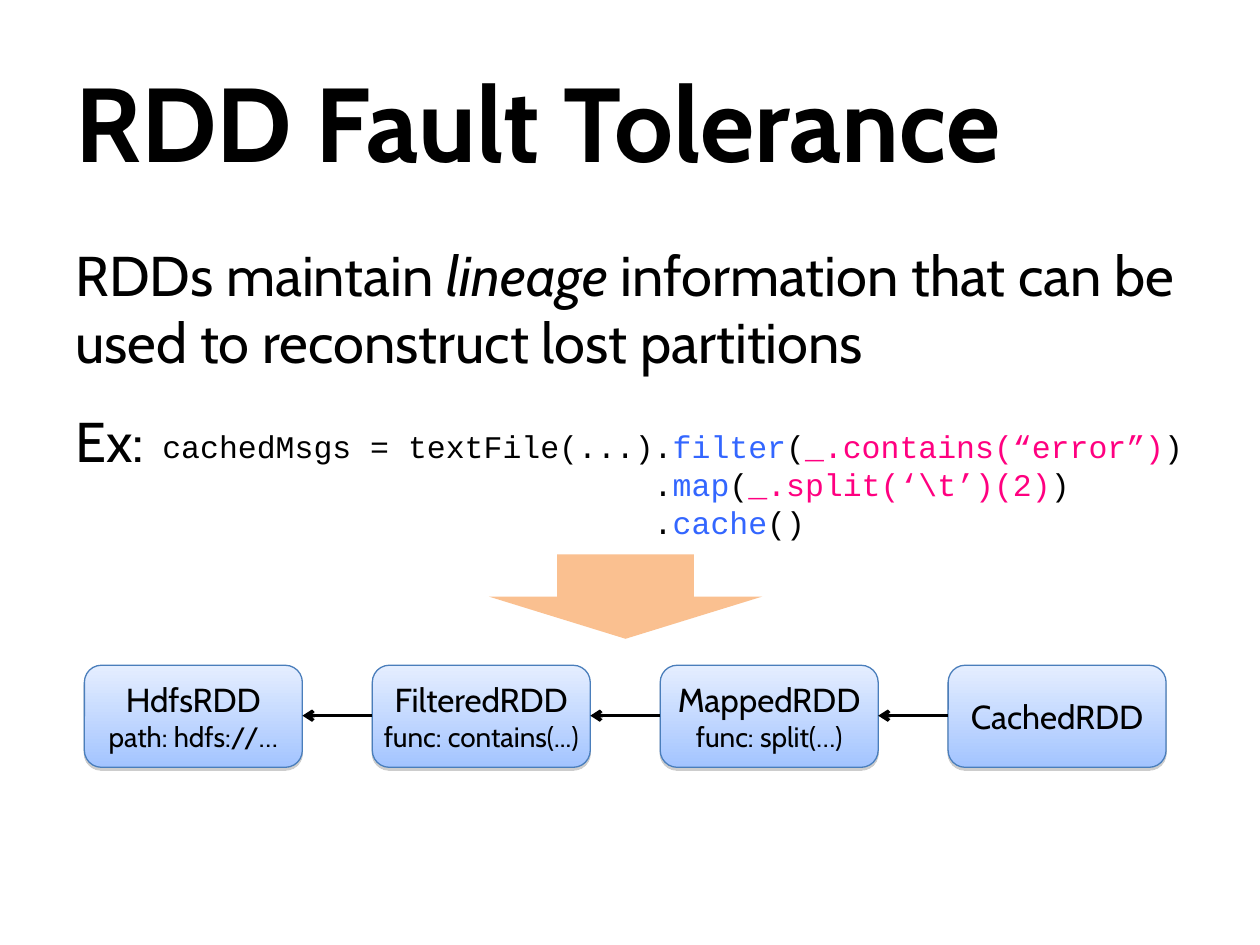
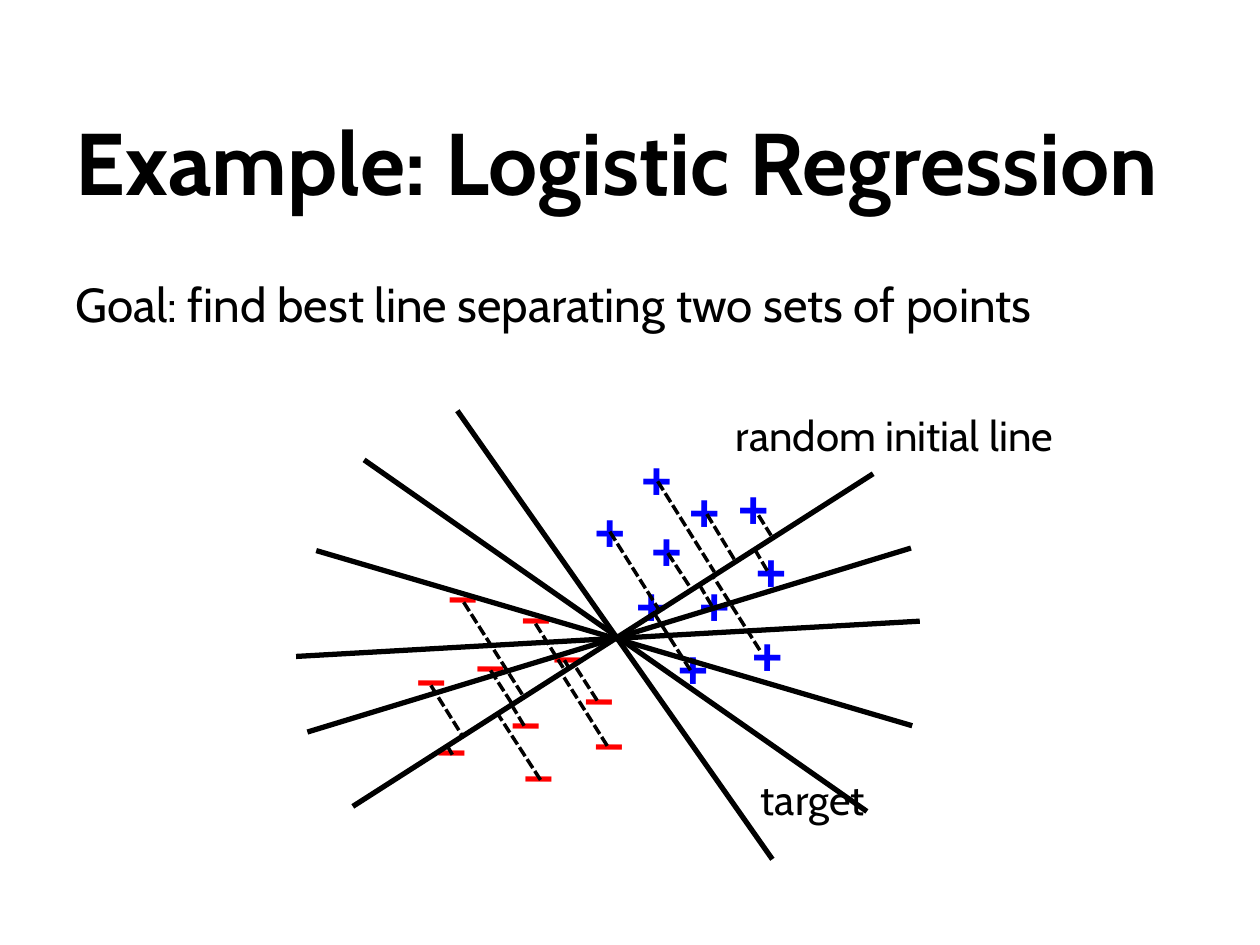
from lxml import etree
from pptx import Presentation
from pptx import util as u
from pptx.dml.color import RGBColor
from pptx.enum import dml, shapes, text
from pptx.oxml.ns import qn

BLACK, BLUE, RED = "000000", "0000FF", "FF0000"
CALL, CLOSURE = {"color": "3366FF"}, {"color": "FF0080"}
SANS, MARK, MONO = "Cabin", "Arial", "Courier New"


def rgb(value):
    """Turn a hex string into a colour."""
    return RGBColor.from_string(value)


class Deck:
    """Holds the shared style and the slide being built."""

    def __init__(self, prs):
        """Set the page size."""
        self.prs = prs
        prs.slide_width, prs.slide_height = u.Inches(10), u.Inches(7.5)

    def new_slide(self, title, top, size):
        """Start a blank slide with a bold title."""
        self.s = self.prs.slides.add_slide(self.prs.slide_layouts[6])
        self.label((0.5, top, 9, 1.25), [title], size, bold=True, middle=True)

    def set_text(self, tf, paragraphs, sizes, font=SANS, color=BLACK, bold=False,
                 align=text.PP_ALIGN.LEFT, gap=0):
        """Fill a text frame; a paragraph is a string or a list of (text, style) runs."""
        tf.word_wrap = True
        for i, (content, size) in enumerate(zip(paragraphs, sizes)):
            p = tf.add_paragraph() if i else tf.paragraphs[0]
            p.alignment = align
            if i:
                p.space_before = u.Pt(gap)
            p.font.name, p.font.size, p.font.bold = font, u.Pt(size), bold
            p.font.color.rgb = rgb(color)
            for words, style in [(content, {})] if isinstance(content, str) else content:
                r = p.add_run()
                r.text = words
                if "color" in style:
                    r.font.color.rgb = rgb(style["color"])
                if "italic" in style:
                    r.font.italic = style["italic"]

    def label(self, box, paragraphs, size, middle=False, rotation=0, **style):
        """Add a text box."""
        sp = self.s.shapes.add_textbox(*map(u.Inches, box))
        sp.rotation = rotation
        if middle:
            sp.text_frame.vertical_anchor = text.MSO_ANCHOR.MIDDLE
        self.set_text(sp.text_frame, paragraphs, [size] * len(paragraphs), **style)

    def marks(self, sign, color, places):
        """Scatter one sign over the given places."""
        for left, top in places:
            self.label((left, top, 0.44, 0.6), [sign], 30, rotation=0.3,
                       font=MARK, color=color, bold=True)

    def shape(self, kind, box):
        """Add a preset shape without the theme shadow."""
        sp = self.s.shapes.add_shape(kind, *map(u.Inches, box))
        sp.shadow.inherit = False
        return sp

    def down_arrow(self, box, color):
        """Add a plain block arrow."""
        sp = self.shape(shapes.MSO_SHAPE.DOWN_ARROW, box)
        sp.fill.solid()
        sp.fill.fore_color.rgb = rgb(color)
        sp.line.fill.background()

    def node(self, box, labels):
        """Add a shaded rounded box with a name and a detail line."""
        sp = self.shape(shapes.MSO_SHAPE.ROUNDED_RECTANGLE, box)
        sp.fill.gradient()
        sp.fill.gradient_angle = 270
        for stop, color in zip(sp.fill.gradient_stops, ("E5EEFF", "A3C4FF")):
            stop.color.rgb = rgb(color)
        sp.line.color.rgb = rgb("4A7EBB")
        sp.line.width = u.Pt(0.75)
        effects = sp._element.spPr.find(qn("a:effectLst"))
        shadow = etree.SubElement(effects, qn("a:outerShdw"), blurRad="0",
                                  dist=str(int(u.Pt(1.6))), dir="5400000", rotWithShape="0")
        shade = etree.SubElement(shadow, qn("a:srgbClr"), val="808080")
        etree.SubElement(shade, qn("a:alpha"), val="38000")
        tf = sp.text_frame
        tf.margin_left = tf.margin_right = 0
        tf.vertical_anchor = text.MSO_ANCHOR.MIDDLE
        self.set_text(tf, labels, (19, 16), align=text.PP_ALIGN.CENTER)

    def line(self, ends, width, dashed=False, arrow=False):
        """Add a straight black line."""
        cx = self.s.shapes.add_connector(shapes.MSO_CONNECTOR.STRAIGHT, *map(u.Inches, ends))
        cx.line.color.rgb = rgb(BLACK)
        cx.line.width = u.Pt(width)
        if dashed:
            cx.line.dash_style = dml.MSO_LINE.SQUARE_DOT
        spPr = cx._element.spPr
        if arrow:
            etree.SubElement(spPr.find(qn("a:ln")), qn("a:tailEnd"), type="arrow")
        etree.SubElement(spPr, qn("a:effectLst"))


def fault_tolerance(deck):
    """Build the lineage slide."""
    deck.new_slide("RDD Fault Tolerance", 0.33, 60)
    deck.down_arrow((3.88, 4.4, 2.17, 0.67), "FAC090")
    deck.label((0.5, 1.86, 9.08, 4.56), [
        [("RDDs maintain ", {}), ("lineage", {"italic": True}),
         (" information that can be used to reconstruct lost partitions", {})],
        "Ex:"], 32, gap=18)
    deck.label((1.19, 3.34, 8.64, 1), [
        [("cachedMsgs = textFile(...).", {}), ("filter", CALL), ("(", {}),
         ("_.contains(“error”)", CLOSURE), (")", {})],
        [("                          .", {}), ("map", CALL), ("(", {}),
         ("_.split(‘\\t’)(2)", CLOSURE), (")", {})],
        [("                          .", {}), ("cache", CALL), ("()", {})]],
        18, font=MONO)

    left, top, width, height, pitch = 0.67, 5.28, 1.73, 0.81, 2.285
    lineage = (("HdfsRDD", "path: hdfs://…"), ("FilteredRDD", "func: contains(...)"),
               ("MappedRDD", "func: split(…)"), ("CachedRDD",))
    for i, labels in enumerate(lineage):
        x = left + i * pitch
        deck.node((x, top, width, height), labels)
        if i:
            deck.line((x, 5.68, x - pitch + width, 5.68), 2, arrow=True)


def logistic_regression(deck):
    """Build the separating line slide."""
    deck.new_slide("Example: Logistic Regression", 0.65, 50)
    deck.label((0.5, 2.13, 9, 1.03),
               ["Goal: find best line separating two sets of points"], 27.2)
    deck.marks("+", BLUE, (
        (5.07, 4.06), (4.95, 4.5), (5.9, 4.23), (5.45, 4.5), (5.37, 3.75),
        (5.87, 4.9), (4.62, 3.91), (4.99, 3.5), (5.76, 3.73), (5.28, 5)))
    deck.marks("–", RED, (
        (3.96, 5.41), (3.68, 4.96), (4.29, 4.89), (4.04, 4.58), (3.37, 5.63),
        (3.46, 4.41), (4.54, 5.22), (4.06, 5.83), (4.62, 5.58), (3.21, 5.07)))

    candidates = (
        (3.63, 3.26, 6.13, 6.82), (2.8, 6.4, 6.93, 3.76), (2.44, 5.81, 7.23, 4.35),
        (2.35, 5.21, 7.3, 4.93), (2.51, 4.37, 7.24, 5.76), (2.89, 3.65, 6.88, 6.44))
    for ends in candidates:
        deck.line(ends, 3)

    distances = (
        (4.16, 5.76, 4.07, 5.61), (5.61, 4.08, 5.84, 4.46), (5.3, 4.39, 5.49, 4.68),
        (5.22, 3.82, 5.67, 4.54), (6.02, 4.09, 6.12, 4.25), (4.84, 4.22, 5.23, 4.84),
        (6.09, 4.53, 5.99, 4.36), (5.65, 4.81, 5.55, 4.64), (6.03, 5.16, 5.67, 4.59),
        (5.48, 5.32, 5.2, 4.88), (3.68, 4.78, 4.15, 5.52), (4.25, 4.95, 4.47, 5.3),
        (3.42, 5.44, 3.67, 5.84), (4.74, 5.56, 4.56, 5.28), (3.94, 5.65, 4.29, 6.19),
        (4.82, 5.92, 4.46, 5.35), (3.59, 5.99, 3.55, 5.92), (4.52, 5.31, 4.48, 5.24),
        (4.06, 5.58, 3.88, 5.3))
    for ends in distances:
        deck.line(ends, 2, dashed=True)

    deck.label((5.94, 6.09, 1.16, 0.5), ["target"], 24)
    deck.label((5.58, 3.2, 3.04, 0.5), ["random initial line"], 24,
               align=text.PP_ALIGN.CENTER)


def main():
    """Build and save the deck."""
    prs = Presentation()
    deck = Deck(prs)
    fault_tolerance(deck)
    logistic_regression(deck)
    prs.save("out.pptx")


if __name__ == "__main__":
    main()
